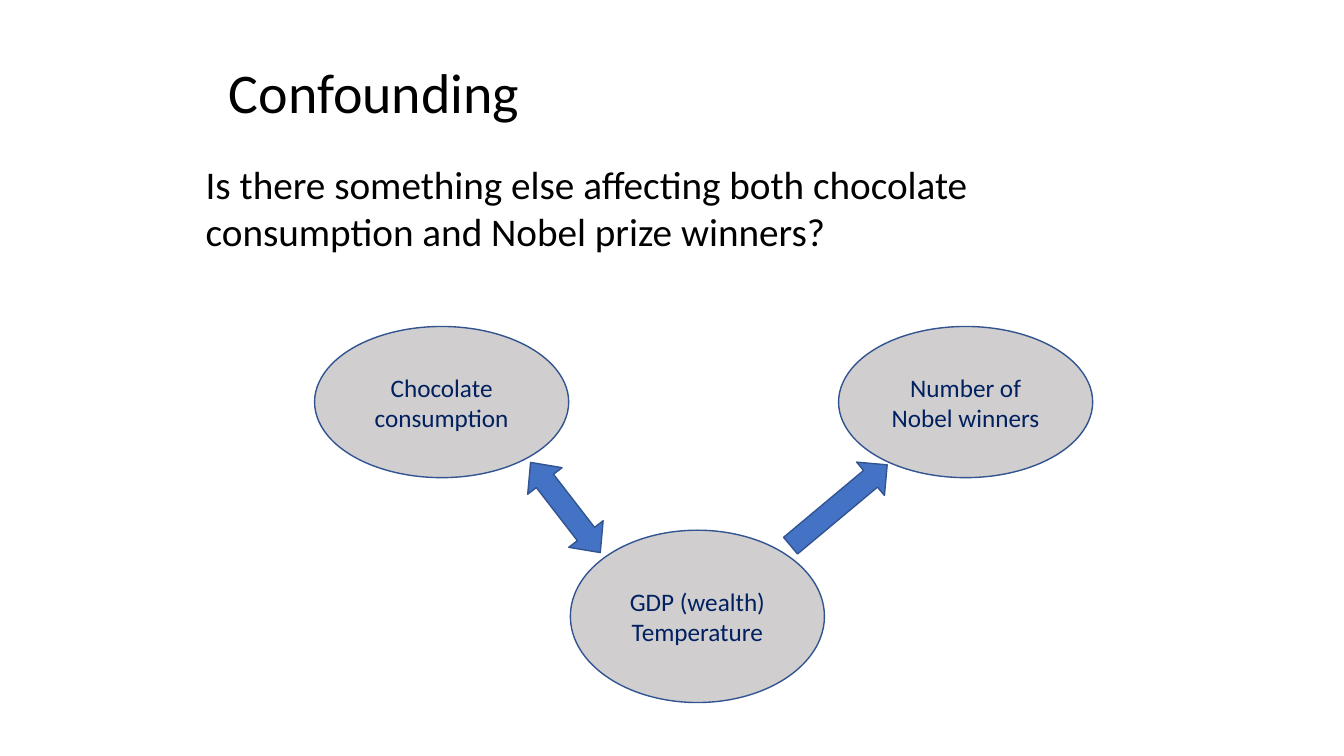
import pptx
import pptx.dml.color
import pptx.enum.shapes
import pptx.enum.text
import pptx.oxml.ns
import pptx.util

Pt = pptx.util.Pt
Shape = pptx.enum.shapes.MSO_SHAPE
Align = pptx.enum.text.PP_ALIGN
Anchor = pptx.enum.text.MSO_ANCHOR

FONT = "Calibri"
COLORS = {
    "text": "000000",
    "label": "002060",
    "oval": "D0CECE",
    "arrow": "4472C4",
    "outline": "325491",
}


def color(name):
    return pptx.dml.color.RGBColor.from_string(COLORS[name])


def format_paragraph(para, size, color_name, alignment):
    para.alignment = alignment
    para.line_spacing = 1.0
    para.space_before = Pt(0)
    para.font.name = FONT
    para.font.size = Pt(size)
    para.font.color.rgb = color(color_name)


def remove_bullet(para):
    properties = para._p.get_or_add_pPr()
    properties.set("marL", "0")
    properties.set("indent", "0")
    properties.append(properties.makeelement(pptx.oxml.ns.qn("a:buNone"), {}))


def fill_placeholder(box, text, bounds, size):
    box.left, box.top, box.width, box.height = map(Pt, bounds)
    frame = box.text_frame
    frame.text = text
    frame.word_wrap = True
    frame.auto_size = pptx.enum.text.MSO_AUTO_SIZE.NONE
    frame.vertical_anchor = Anchor.TOP
    para = frame.paragraphs[0]
    remove_bullet(para)
    format_paragraph(para, size, "text", Align.LEFT)


def add_filled_shape(page, kind, bounds, fill_name):
    shape = page.shapes.add_shape(kind, *map(Pt, bounds))
    shape.shadow.inherit = False
    shape.fill.solid()
    shape.fill.fore_color.rgb = color(fill_name)
    shape.line.color.rgb = color("outline")
    shape.line.width = Pt(1)
    return shape


def add_oval(page, text, left, top, height):
    oval = add_filled_shape(page, Shape.OVAL, (left, top, 181.5, height), "oval")
    frame = oval.text_frame
    frame.text = text
    frame.word_wrap = True
    frame.vertical_anchor = Anchor.MIDDLE
    for para in frame.paragraphs:
        format_paragraph(para, 18, "label", Align.CENTER)


def add_arrow(page, kind, left, top, width, rotation):
    arrow = add_filled_shape(page, kind, (left, top, width, 31), "arrow")
    arrow.rotation = rotation
    return arrow


def main():
    deck = pptx.Presentation()
    deck.slide_width, deck.slide_height = Pt(960), Pt(540)
    page = deck.slides.add_slide(deck.slide_layouts[1])

    fill_placeholder(page.shapes.title, "Confounding", (156.2, 37.4, 684, 74.2), 40)
    fill_placeholder(
        page.placeholders[1],
        "Is there something else affecting both chocolate consumption and Nobel prize winners?",
        (139.7, 111.2, 686.2, 378.7),
        28,
    )

    add_oval(page, "Chocolate consumption", 224.7, 233.2, 108)
    add_arrow(page, Shape.RIGHT_ARROW, 554.2, 345.4, 90, 320.1)
    add_oval(page, "Number of Nobel winners", 599, 233.2, 108)
    add_oval(page, "GDP (wealth)\nTemperature", 407.4, 378.7, 123.1)
    effect = add_arrow(page, Shape.LEFT_RIGHT_ARROW, 363.2, 347, 81.4, 52.3)
    effect.adjustments[1] = 0.54

    deck.save("out.pptx")


if __name__ == "__main__":
    main()
